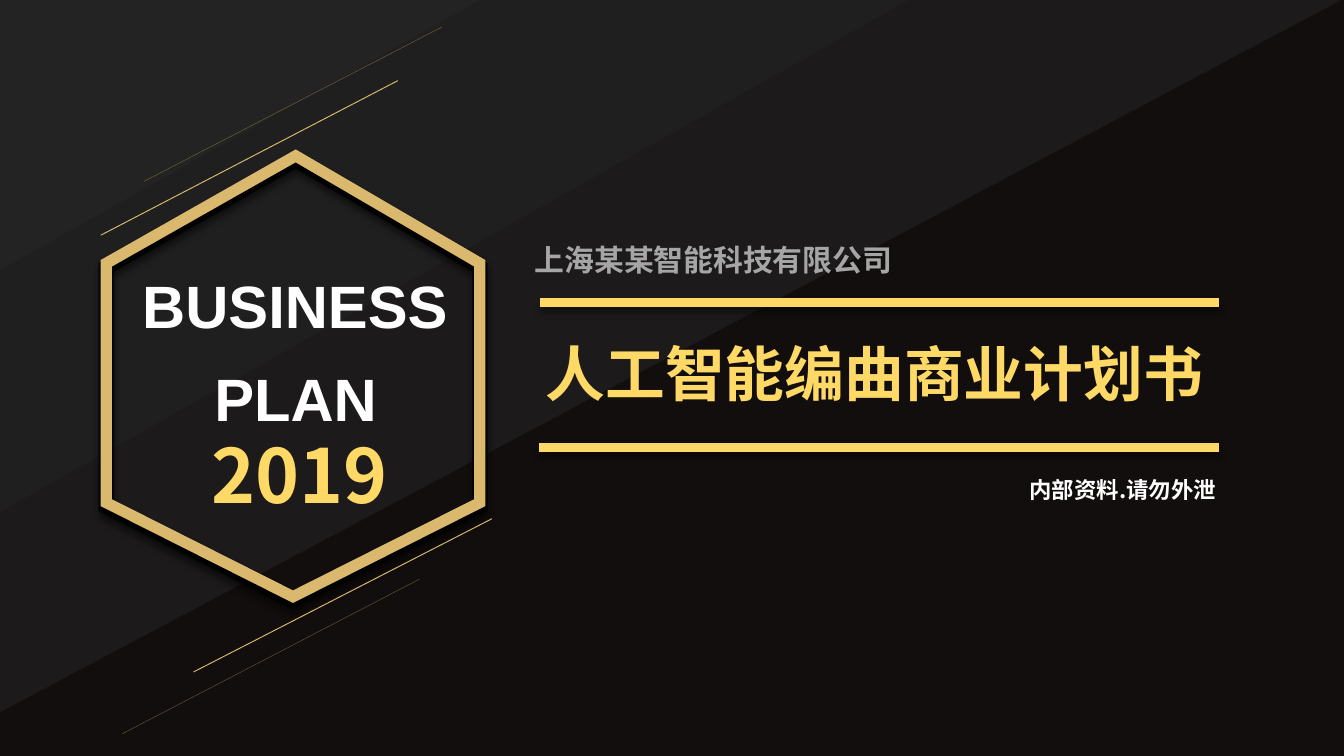
from dataclasses import dataclass

from lxml.etree import SubElement
from pptx import Presentation
from pptx.dml.color import RGBColor
from pptx.enum.shapes import MSO_CONNECTOR as CONNECTOR
from pptx.enum.text import MSO_AUTO_SIZE as AUTO_SIZE, PP_ALIGN as ALIGN
from pptx.oxml.ns import qn
from pptx.util import Inches, Pt


@dataclass(frozen=True)
class Theme:
    """Colours, fonts and type sizes of the slide."""
    back: str = "120E0D"
    band: str = "232323"
    edge: str = "020302"
    gold: str = "DAB96E"
    yellow: str = "FFD966"
    white: str = "FFFFFF"
    grey: str = "A6A6A6"
    shade: str = "000000"
    latin: str = "Arial"
    cjk: str = "Noto Sans CJK SC"
    year: int = 40
    title: int = 32
    company: int = 16
    note: int = 12


THEME = Theme()

# width, height, opacity of each triangle in the top left corner
BANDS = [(9.98, 5.3, 60), (6.76, 3.81, 60), (3.57, 2.01, 100)]

# hexagon corners, then (drop, colour, line width) of each outline
HEXAGON = [(2.2, 1.16), (3.57, 1.96), (3.57, 3.74), (2.18, 4.44), (0.79, 3.74), (0.79, 1.96)]
OUTLINES = [(0.03, THEME.edge, 8), (0, THEME.gold, 6)]

# start x, start y, end x, end y
TITLE_RULES = [(4.02, 2.25, 9.07, 2.25), (4.01, 3.33, 9.07, 3.33)]

# each pair holds a strong ray and a faint one
LOWER_RAYS = [(1.44, 5, 3.66, 3.86), (0.91, 5.46, 3.12, 4.31)]
UPPER_RAYS = [(0.75, 1.75, 2.96, 0.6), (1.07, 1.35, 3.29, 0.2)]
RAY_STYLES = [(0.5, 100), (0.25, 40)]

# text, (left, top, width, height), size, font, colour, centred on one line
TEXTS = [
    ("人工智能编曲商业计划书", (4.01, 2.46, 5.45, 0.72), THEME.title, THEME.cjk, THEME.yellow, False),
    ("BUSINESS", (1, 1.95, 2.39, 0.6), THEME.title, THEME.latin, THEME.white, True),
    ("2019 ", (1.48, 3.14, 1.5, 0.77), THEME.year, THEME.cjk, THEME.yellow, True),
    ("PLAN", (1.54, 2.64, 1.32, 0.6), THEME.title, THEME.latin, THEME.white, True),
    ("上海某某智能科技有限公司", (3.93, 1.75, 3.28, 0.41), THEME.company, THEME.cjk, THEME.grey, False),
    ("内部资料.请勿外泄", (7.61, 3.49, 1.5, 0.34), THEME.note, THEME.cjk, THEME.white, False),
]


def paint(fill, colour, opacity=100):
    """Give a fill one solid colour, see-through below 100 percent."""
    fill.solid()
    fill.fore_color.rgb = RGBColor.from_string(colour)
    if opacity < 100:
        tone = fill._xPr.find(qn("a:solidFill"))[0]
        SubElement(tone, qn("a:alpha"), val=str(opacity * 1000))


def set_effect(shape, shadow):
    """Replace the theme shadow with a soft drop shadow or with none."""
    effects = SubElement(shape._element.spPr, qn("a:effectLst"))
    if shadow:
        drop = SubElement(effects, qn("a:outerShdw"), blurRad=str(Pt(4)), dist=str(Pt(3)),
                          dir="5400000", algn="t", rotWithShape="0")
        tone = SubElement(drop, qn("a:srgbClr"), val=THEME.shade)
        SubElement(tone, qn("a:alpha"), val="40000")


def add_polygon(shapes, corners):
    """Add a closed outline through the corners."""
    points = [(Inches(x), Inches(y)) for x, y in corners]
    builder = shapes.build_freeform(*points[0])
    builder.add_line_segments(points[1:], close=True)
    return builder.convert_to_shape()


def add_band(page, width, height, opacity):
    """Add one corner triangle of the background."""
    band = add_polygon(page.shapes, [(0, 0), (0, height), (width, 0)])
    paint(band.fill, THEME.band, opacity)
    band.line.fill.background()
    set_effect(band, False)


def add_hexagon(shapes, drop, colour, weight):
    """Add one unfilled hexagon with sharp corners."""
    hexagon = add_polygon(shapes, [(x, y + drop) for x, y in HEXAGON])
    hexagon.fill.background()
    hexagon.line.width = Pt(weight)
    paint(hexagon.line.fill, colour)
    SubElement(hexagon.line._ln, qn("a:miter"), lim="800000")
    set_effect(hexagon, True)


def add_line(shapes, ends, colour, weight, opacity=100, shadow=False):
    """Add one straight line."""
    line = shapes.add_connector(CONNECTOR.STRAIGHT, *map(Inches, ends))
    line.line.width = Pt(weight)
    paint(line.line.fill, colour, opacity)
    set_effect(line, shadow)


def add_rays(shapes, rays):
    """Add a strong ray and a faint one."""
    for ends, (weight, opacity) in zip(rays, RAY_STYLES):
        add_line(shapes, ends, THEME.gold, weight, opacity)


def add_text(page, text, place, size, font, colour, centred):
    """Add one bold text box."""
    box = page.shapes.add_textbox(*map(Inches, place))
    frame = box.text_frame
    frame.margin_left = frame.margin_right = Inches(0.05)
    frame.margin_top = frame.margin_bottom = Inches(0.05)
    frame.word_wrap = not centred
    frame.auto_size = AUTO_SIZE.SHAPE_TO_FIT_TEXT
    frame.text = text
    para = frame.paragraphs[0]
    para.alignment = ALIGN.CENTER if centred else ALIGN.LEFT
    span = para.runs[0]
    span.font.size = Pt(size)
    span.font.bold = True
    span.font.name = font
    span.font.color.rgb = RGBColor.from_string(colour)
    SubElement(span.font._rPr, qn("a:ea"), typeface=font)


def build():
    """Build the cover slide and save the deck."""
    deck = Presentation()
    deck.slide_width = Inches(10)
    deck.slide_height = deck.slide_width * 9 // 16
    page = deck.slides.add_slide(deck.slide_layouts[6])
    paint(page.background.fill, THEME.back)
    for band in BANDS:
        add_band(page, *band)
    badge = page.shapes.add_group_shape()
    for outline in OUTLINES:
        add_hexagon(badge.shapes, *outline)
    for ends in TITLE_RULES:
        add_line(page.shapes, ends, THEME.yellow, 4.5, shadow=True)
    add_rays(page.shapes.add_group_shape().shapes, LOWER_RAYS)
    add_rays(page.shapes, UPPER_RAYS)
    for item in TEXTS:
        add_text(page, *item)
    deck.save("out.pptx")


build()
